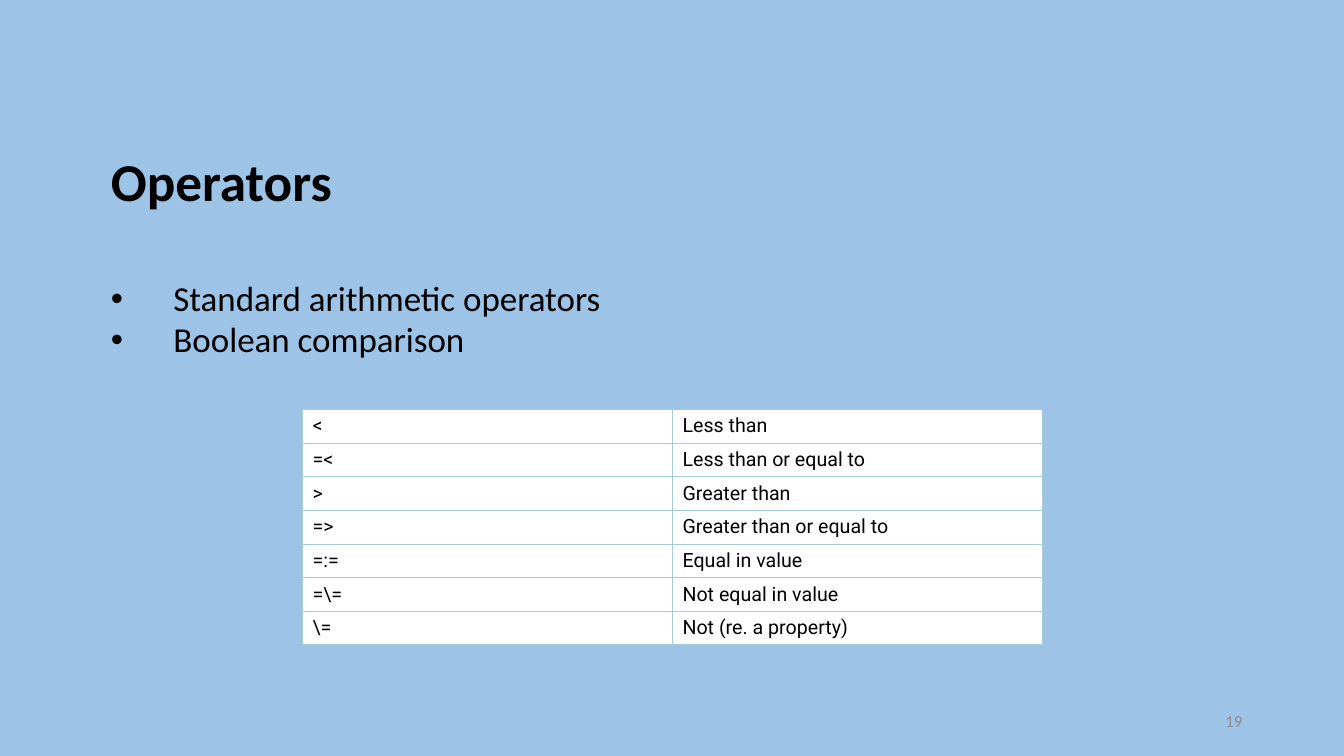
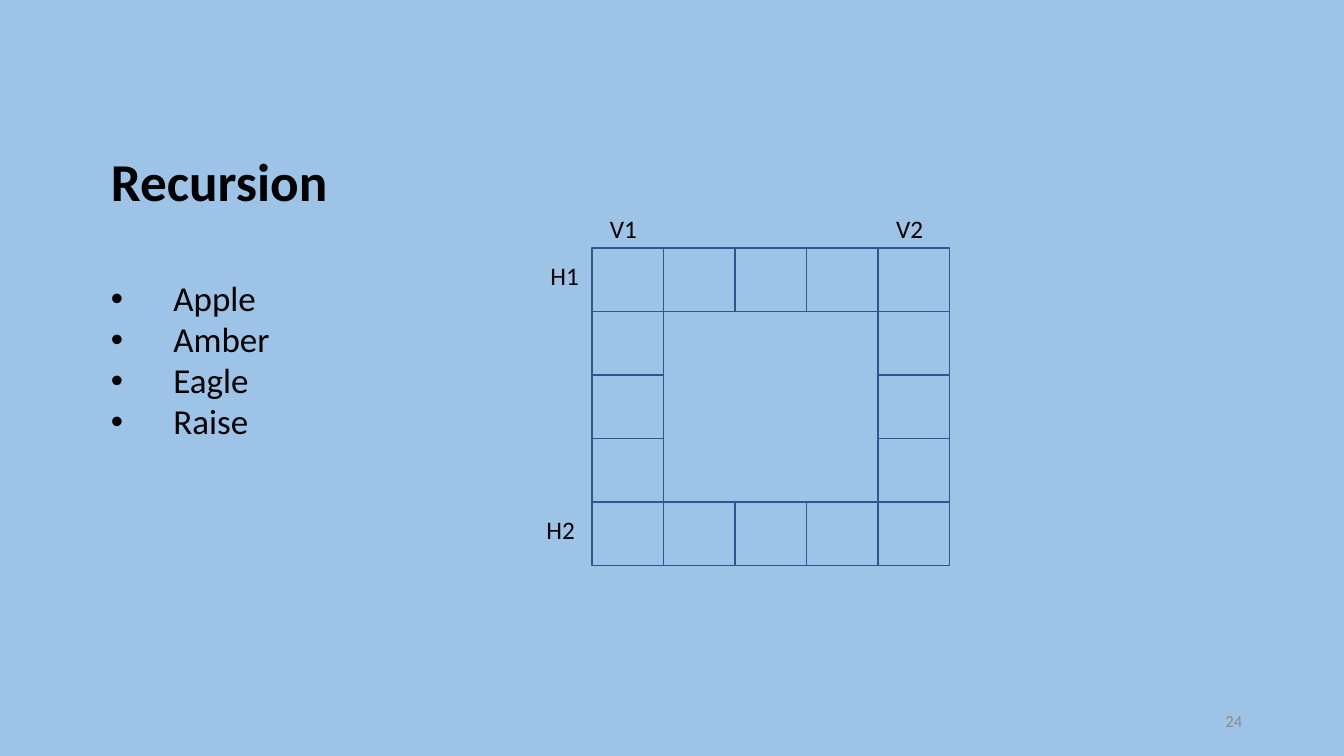
from itertools import product

from lxml.etree import SubElement
from pptx import Presentation
from pptx.dml.color import RGBColor
from pptx.enum.shapes import MSO_SHAPE
from pptx.enum.text import MSO_ANCHOR, MSO_AUTO_SIZE, PP_ALIGN
from pptx.oxml.ns import qn
from pptx.util import Inches, Pt

SKY = RGBColor(0x9D, 0xC3, 0xE6)
BLACK = RGBColor(0, 0, 0)
WHITE = RGBColor(0xFF, 0xFF, 0xFF)
GRAY = RGBColor(0x8C, 0x8C, 0x8C)
NAVY = RGBColor(0x32, 0x54, 0x91)
TEAL = RGBColor(0xA5, 0xCC, 0xD6)

WIDTH, HEIGHT = 13.33, 7.5
MARGIN = 1
BULLET_INDENT = 0.62
TITLE_BOX = (MARGIN, 1.42, WIDTH - 2 * MARGIN, 0.75)
BODY_BOX = (MARGIN, 2.71, WIDTH - 2 * MARGIN, 1.8)
NUMBER_BOX = (9.42, 6.95, 3, 0.4)

OPERATOR_POINTS = ["Standard arithmetic operators", "Boolean comparison"]
OPERATORS = [
    ("<", "Less than"),
    ("=<", "Less than or equal to"),
    (">", "Greater than"),
    ("=>", "Greater than or equal to"),
    ("=:=", "Equal in value"),
    ("=\\=", "Not equal in value"),
    ("\\=", "Not (re. a property)"),
]
TABLE_LEFT, TABLE_TOP = 3, 4.06
COLUMN_WIDTH, ROW_HEIGHT = 3.67, 0.33

WORDS = ["Apple", "Amber", "Eagle", "Raise"]
GRID_LEFT, GRID_TOP = 5.87, 2.46
GRID_SIZE = 5
CELL_WIDTH, CELL_HEIGHT = 0.71, 0.63
# label: (grid column, grid row, horizontal offset, vertical offset)
WORD_LABELS = {
    "V1": (0, 0, 0.08, -0.39),
    "V2": (4, 0, 0.08, -0.39),
    "H1": (0, 0, -0.51, 0.07),
    "H2": (0, 4, -0.55, 0.07),
}


def inches(box):
    return [Inches(length) for length in box]


def place(shape, box):
    shape.left, shape.top, shape.width, shape.height = inches(box)


def write(frame, lines, size, font="Calibri", color=BLACK, bold=False,
          align=PP_ALIGN.LEFT, anchor=MSO_ANCHOR.TOP, spacing=1.0):
    frame.vertical_anchor = anchor
    frame.text = "\n".join(lines)
    for paragraph in frame.paragraphs:
        paragraph.alignment = align
        paragraph.space_before = Pt(0)
        paragraph.line_spacing = spacing
        for run in paragraph.runs:
            run.font.name = font
            run.font.size = Pt(size)
            run.font.bold = bold
            run.font.color.rgb = color


def add_label(slide, text, box, size, wrap=False, **style):
    frame = slide.shapes.add_textbox(*inches(box)).text_frame
    frame.word_wrap = wrap
    write(frame, [text], size, **style)


def add_topic(prs, title, points, number):
    slide = prs.slides.add_slide(prs.slide_layouts[1])
    write(slide.shapes.title.text_frame, [title], 38, bold=True)
    body = slide.placeholders[1].text_frame
    body.auto_size = MSO_AUTO_SIZE.NONE
    write(body, points, 25, spacing=0.98)
    for paragraph in body.paragraphs:
        properties = paragraph._p.get_or_add_pPr()
        properties.set("marL", str(Inches(BULLET_INDENT)))
        properties.set("indent", str(-Inches(BULLET_INDENT)))
    add_label(slide, str(number), NUMBER_BOX, 12, wrap=True, color=GRAY,
              align=PP_ALIGN.RIGHT, anchor=MSO_ANCHOR.MIDDLE)
    return slide


def set_borders(cell, color, width):
    properties = cell._tc.get_or_add_tcPr()
    for index, side in enumerate(("lnL", "lnR", "lnT", "lnB")):
        line = SubElement(properties, qn(f"a:{side}"), w=str(Pt(width)))
        fill = SubElement(line, qn("a:solidFill"))
        SubElement(fill, qn("a:srgbClr"), val=str(color))
        properties.insert(index, line)


def add_operator_table(slide):
    rows, columns = len(OPERATORS), len(OPERATORS[0])
    box = (TABLE_LEFT, TABLE_TOP, columns * COLUMN_WIDTH, rows * ROW_HEIGHT)
    table = slide.shapes.add_table(rows, columns, *inches(box)).table
    table.first_row = table.horz_banding = False
    for row, column in product(range(rows), range(columns)):
        cell = table.cell(row, column)
        cell.fill.solid()
        cell.fill.fore_color.rgb = WHITE
        write(cell.text_frame, [OPERATORS[row][column]], 14, font="Roboto")
        cell.vertical_anchor = MSO_ANCHOR.MIDDLE
        set_borders(cell, TEAL, 0.5)


def add_word_square(slide):
    edges = (0, GRID_SIZE - 1)
    for row, column in product(range(GRID_SIZE), repeat=2):
        if row in edges or column in edges:
            box = (GRID_LEFT + column * CELL_WIDTH, GRID_TOP + row * CELL_HEIGHT,
                   CELL_WIDTH, CELL_HEIGHT)
            square = slide.shapes.add_shape(MSO_SHAPE.RECTANGLE, *inches(box))
            square.shadow.inherit = False
            square.fill.background()
            square.line.color.rgb = NAVY
            square.line.width = Pt(1)
    for label, (column, row, dx, dy) in WORD_LABELS.items():
        box = (GRID_LEFT + column * CELL_WIDTH + dx,
               GRID_TOP + row * CELL_HEIGHT + dy, 0.51, 0.4)
        add_label(slide, label, box, 18)


def main():
    prs = Presentation()
    prs.slide_width, prs.slide_height = Inches(WIDTH), Inches(HEIGHT)
    background = prs.slide_master.background.fill
    background.solid()
    background.fore_color.rgb = SKY
    title, body = list(prs.slide_layouts[1].placeholders)[:2]
    place(title, TITLE_BOX)
    place(body, BODY_BOX)

    add_operator_table(add_topic(prs, "Operators", OPERATOR_POINTS, 19))
    add_word_square(add_topic(prs, "Recursion", WORDS, 24))
    prs.save("out.pptx")


if __name__ == "__main__":
    main()
